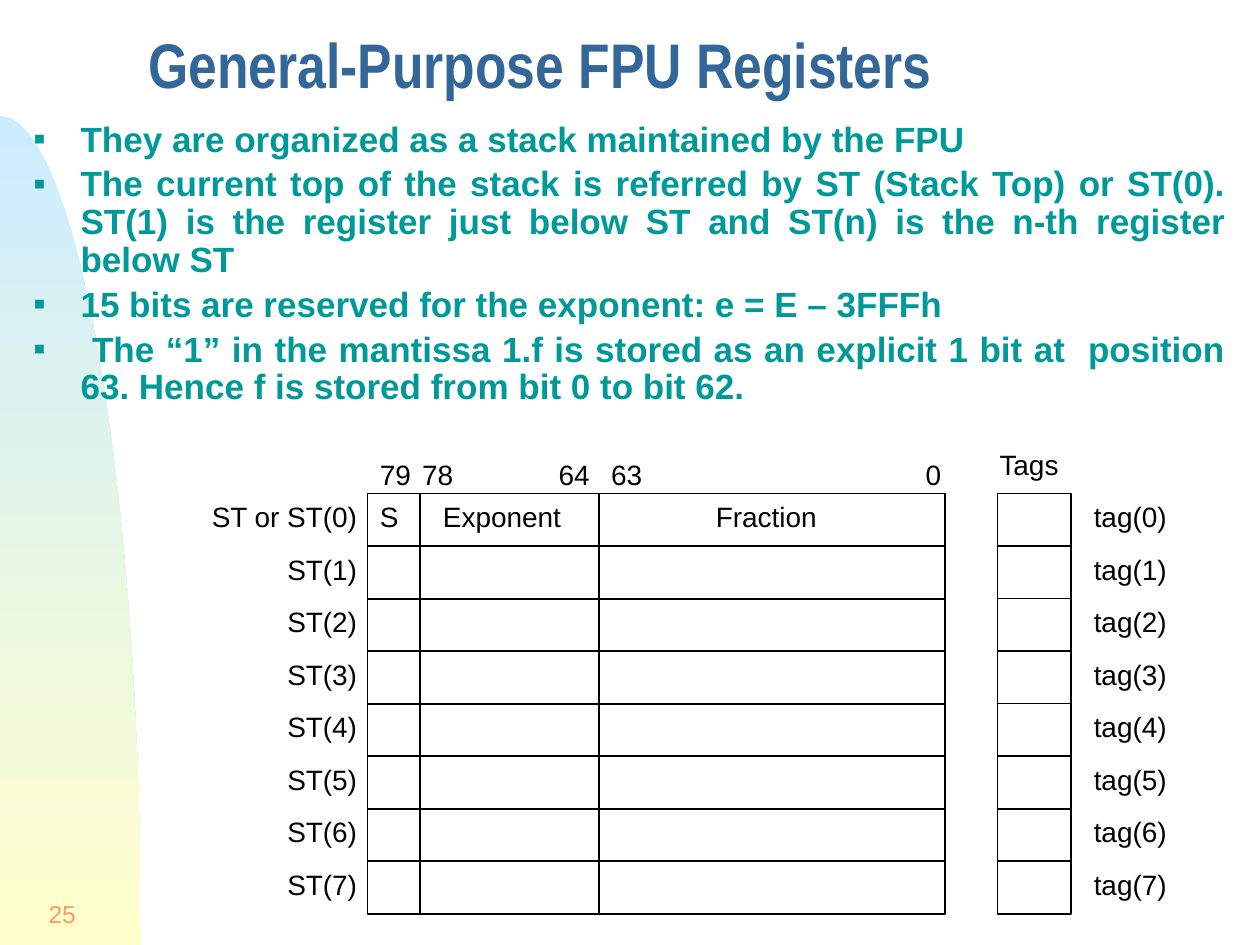
from dataclasses import dataclass

from lxml import etree
from pptx import Presentation
from pptx.dml.color import RGBColor
from pptx.enum.shapes import MSO_CONNECTOR, MSO_SHAPE
from pptx.enum.text import MSO_ANCHOR, MSO_AUTO_SIZE, PP_ALIGN
from pptx.oxml.ns import qn
from pptx.util import Cm, Pt

STRAIGHT = MSO_CONNECTOR.STRAIGHT
RECT = MSO_SHAPE.RECTANGLE
LEFT, RIGHT, JUSTIFY = PP_ALIGN.LEFT, PP_ALIGN.RIGHT, PP_ALIGN.JUSTIFY
TOP, MIDDLE = MSO_ANCHOR.TOP, MSO_ANCHOR.MIDDLE
FIT, NO_FIT = MSO_AUTO_SIZE.SHAPE_TO_FIT_TEXT, MSO_AUTO_SIZE.NONE


@dataclass(frozen=True)
class Theme:
    title: str = "336699"
    body: str = "009999"
    ink: str = "010000"
    number: str = "FF9966"
    wave_top: str = "CCECFF"
    wave_bottom: str = "FFFFCC"
    title_font: str = "Arial Narrow"
    font: str = "Arial"
    title_size: int = 36
    body_size: int = 20
    label_size: int = 16
    number_size: int = 14
    line: float = 1


THEME = Theme()
REGISTERS = 8
LABEL_H = 0.94

POINTS = [
    "They are organized as a stack maintained by the FPU",
    "The current top of the stack is referred by ST (Stack Top) or ST(0). "
    "ST(1) is the register just below ST and ST(n) is the n-th register below ST",
    "15 bits are reserved for the exponent: e = E – 3FFFh",
    " The “1” in the mantissa 1.f is stored as an explicit 1 bit at  position 63. "
    "Hence f is stored from bit 0 to bit 62.",
]


def rgb(value):
    return RGBColor.from_string(value)


def add_run(p, text, size, color, font=THEME.font, bold=False):
    r = p.add_run()
    r.text = text
    r.font.name, r.font.size, r.font.bold = font, Pt(size), bold
    r.font.color.rgb = rgb(color)


def place(sp, x, y, w, h):
    sp.left, sp.top, sp.width, sp.height = Cm(x), Cm(y), Cm(w), Cm(h)


def add_label(s, text, x, y, w, align=LEFT):
    tf = s.shapes.add_textbox(Cm(x), Cm(y), Cm(w), Cm(LABEL_H)).text_frame
    tf.word_wrap, tf.auto_size = False, FIT
    p = tf.paragraphs[0]
    p.alignment = align
    add_run(p, text, THEME.label_size, THEME.ink)


def add_box(s, x, y, w, h):
    sp = s.shapes.add_shape(RECT, Cm(x), Cm(y), Cm(w), Cm(h))
    sp.shadow.inherit = False
    sp.fill.background()
    sp.line.color.rgb, sp.line.width = rgb(THEME.ink), Pt(THEME.line)
    return sp


def add_line(s, x1, y1, x2, y2):
    line = s.shapes.add_connector(STRAIGHT, Cm(x1), Cm(y1), Cm(x2), Cm(y2))
    line.line.color.rgb, line.line.width = rgb(THEME.ink), Pt(THEME.line)
    etree.SubElement(line._element.spPr, qn("a:effectLst"))
    return line


def add_wave(s, x, y, w, h, steps=40):
    """Gradient area under a quarter curve falling from top left to bottom right."""
    curve = []
    for i in range(steps + 1):
        t = i / steps
        u = 1 - t
        cx = 3 * u * u * t * 0.55 + 3 * u * t * t + t ** 3
        cy = 3 * u * t * t * 0.45 + t ** 3
        curve.append((Cm(x + w * cx), Cm(y + h * cy)))
    builder = s.shapes.build_freeform(*curve[0])
    builder.add_line_segments(curve[1:] + [(Cm(x), Cm(y + h))], close=True)
    sp = builder.convert_to_shape()
    sp.shadow.inherit = False
    sp.line.fill.background()
    sp.fill.gradient()
    sp.fill.gradient_angle = 270
    for stop, color in zip(sp.fill.gradient_stops, (THEME.wave_top, THEME.wave_bottom)):
        stop.color.rgb = rgb(color)


def add_slide_number(s, x, y, w, h):
    tf = s.shapes.add_textbox(Cm(x), Cm(y), Cm(w), Cm(h)).text_frame
    tf.word_wrap, tf.vertical_anchor = False, MIDDLE
    p = tf.paragraphs[0]
    p.alignment = RIGHT
    add_run(p, "25", THEME.number_size, THEME.number)


def fill_title(s, x, y, w, h):
    sp = s.shapes.title
    place(sp, x, y, w, h)
    tf = sp.text_frame
    tf.vertical_anchor, tf.auto_size = MIDDLE, NO_FIT
    p = tf.paragraphs[0]
    p.alignment, p.line_spacing = LEFT, 0.7
    add_run(p, "General-Purpose FPU Registers", THEME.title_size, THEME.title,
            THEME.title_font, True)


def set_bullet(p, char, color, indent):
    pPr = p._p.get_or_add_pPr()
    pPr.set("marL", str(indent))
    pPr.set("indent", str(-indent))
    bu_clr = etree.SubElement(pPr, qn("a:buClr"))
    etree.SubElement(bu_clr, qn("a:srgbClr"), val=color)
    etree.SubElement(pPr, qn("a:buFont"), typeface=THEME.font)
    etree.SubElement(pPr, qn("a:buChar"), char=char)


def fill_points(s, x, y, w, h):
    sp = s.placeholders[1]
    place(sp, x, y, w, h)
    tf = sp.text_frame
    tf.vertical_anchor, tf.auto_size = TOP, NO_FIT
    for i, text in enumerate(POINTS):
        p = tf.add_paragraph() if i else tf.paragraphs[0]
        p.alignment, p.line_spacing = JUSTIFY, 0.9
        p.space_before = Pt(0.2 * THEME.body_size)
        set_bullet(p, "▪", THEME.body, Cm(0.95))
        add_run(p, text, THEME.body_size, THEME.body, bold=True)


def add_register_stack(s, x, y, w, h):
    row = h / REGISTERS
    for i in range(REGISTERS):
        top = y + i * row
        add_box(s, x, top, w, row)
        name, name_w = (f"ST({i})", 1.93) if i else ("ST or ST(0)", 3.45)
        add_label(s, name, x + 0.04 - name_w, top, name_w, RIGHT)
    for dx in (1.06, 4.66):
        add_line(s, x + dx, y, x + dx, y + h)
    for text, dx, label_w in (("S", 0, 0.9), ("Exponent", 1.27, 2.9), ("Fraction", 6.77, 2.54)):
        add_label(s, text, x + dx, y, label_w)
    for bit, dx in (("79", 0), ("78", 0.85), ("64", 3.6), ("63", 4.66), ("0", 11)):
        add_label(s, bit, x + dx, y - 0.85, 1.14 if len(bit) > 1 else 0.82)


def add_tag_column(s, x, y, w, h):
    row = h / REGISTERS
    column = add_box(s, x, y, w, h)
    for i in range(REGISTERS):
        top = y + i * row
        add_label(s, f"tag({i})", x + w + 0.21, top, 1.98)
        if i:
            line = add_line(s, x, top, x + w, top)
            if 2 * i == REGISTERS:
                line.begin_connect(column, 1)
                line.end_connect(column, 3)
    add_label(s, "Tags", x - 0.21, y - 1.06, 1.75)


def main():
    prs = Presentation()
    prs.slide_width, prs.slide_height = Cm(25.4), Cm(19.05)
    s = prs.slides.add_slide(prs.slide_layouts[1])
    add_wave(s, 0, 2.34, 2.84, 16.71)
    # The wave lies behind the placeholders
    wave = s.shapes[-1]._element
    s.shapes._spTree.insert(2, wave)
    add_slide_number(s, 0, 17.78, 1.78, 1.27)
    fill_title(s, 2.74, 0.43, 21.9, 2.06)
    fill_points(s, 0.42, 2.33, 24.55, 6.77)
    add_register_stack(s, 7.41, 9.95, 11.64, 8.47)
    add_tag_column(s, 20.11, 9.95, 1.48, 8.47)
    prs.save("out.pptx")


if __name__ == "__main__":
    main()
